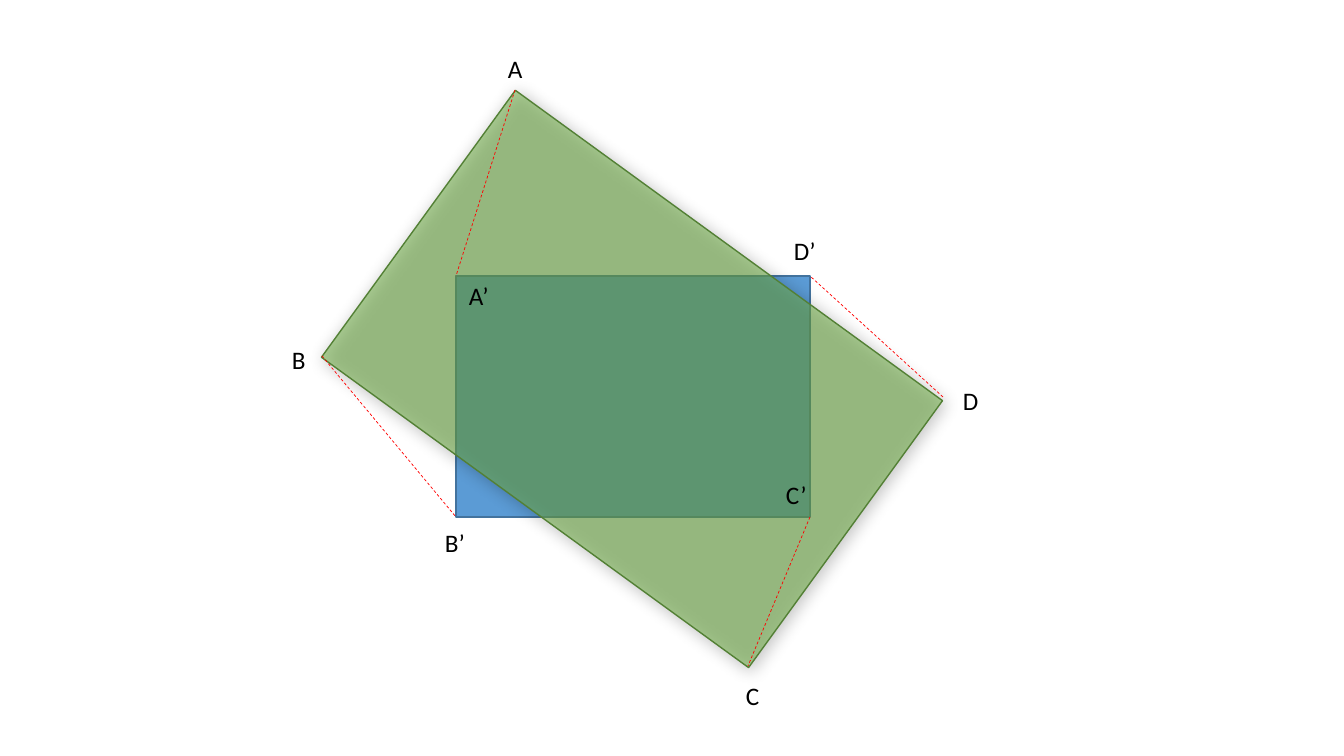
from typing import NamedTuple

from lxml import etree
from pptx import Presentation
from pptx.dml.color import RGBColor
from pptx.enum.dml import MSO_LINE
from pptx.enum.shapes import MSO_CONNECTOR, MSO_SHAPE
from pptx.enum.text import MSO_AUTO_SIZE
from pptx.oxml.ns import qn
from pptx.util import Pt

RECTANGLE = MSO_SHAPE.RECTANGLE
STRAIGHT = MSO_CONNECTOR.STRAIGHT
DASH = MSO_LINE.DASH
FIT_SHAPE = MSO_AUTO_SIZE.SHAPE_TO_FIT_TEXT

BLUE = RGBColor(0x5B, 0x9B, 0xD5)
DARK_BLUE = RGBColor(0x43, 0x73, 0x9E)
GREEN = RGBColor(0x70, 0xAD, 0x47)
DARK_GREEN = RGBColor(0x53, 0x80, 0x35)
RED = RGBColor(0xFF, 0x00, 0x00)
BLACK = RGBColor(0x00, 0x00, 0x00)

PIXELS_PER_INCH = 100.8
LABEL_HEIGHT = 40


class Rectangle(NamedTuple):
    left: int
    top: int
    width: int
    height: int
    fill: RGBColor
    outline: RGBColor
    rotation: int = 0


class Link(NamedTuple):
    start: tuple[int, int]
    end: tuple[int, int]


class Label(NamedTuple):
    text: str
    left: int
    top: int
    width: int


def px(pixels: int) -> int:
    return round(pixels * 914400 / PIXELS_PER_INCH)


def draw_rectangle(item: Rectangle):
    shape = page.shapes.add_shape(
        RECTANGLE, px(item.left), px(item.top), px(item.width), px(item.height))
    shape.rotation = item.rotation
    shape.fill.solid()
    shape.fill.fore_color.rgb = item.fill
    shape.line.color.rgb = item.outline
    shape.line.width = Pt(1)
    shape.shadow.inherit = False
    return shape


def add_alpha(color, percent: int) -> None:
    etree.SubElement(color, qn("a:alpha"), val=str(percent * 1000))


def add_shadow(shape) -> None:
    effects = shape._element.spPr.find(qn("a:effectLst"))
    shadow = etree.SubElement(
        effects, qn("a:outerShdw"), blurRad=str(Pt(12)), dist=str(Pt(3)),
        dir=str(45 * 60000), algn="tl", rotWithShape="0")
    add_alpha(etree.SubElement(shadow, qn("a:srgbClr"), val=str(BLACK)), 40)


def draw_link(link: Link) -> None:
    line = page.shapes.add_connector(STRAIGHT, *map(px, link.start + link.end))
    line.line.color.rgb = RED
    line.line.width = Pt(0.5)
    line.line.dash_style = DASH
    etree.SubElement(line._element.spPr, qn("a:effectLst"))


def draw_label(label: Label) -> None:
    box = page.shapes.add_textbox(
        px(label.left), px(label.top), px(label.width), px(LABEL_HEIGHT))
    frame = box.text_frame
    frame.word_wrap = False
    frame.auto_size = FIT_SHAPE
    span = frame.paragraphs[0].add_run()
    span.text = label.text
    span.font.name = "Calibri"
    span.font.size = Pt(18)
    span.font.color.rgb = BLACK


deck = Presentation()
deck.slide_width, deck.slide_height = px(1344), px(756)
page = deck.slides.add_slide(deck.slide_layouts[6])

# Inner rectangle, then the rotated translucent one over it
inner = Rectangle(456, 276, 354, 241, BLUE, DARK_BLUE)
draw_rectangle(inner)
rotated = draw_rectangle(Rectangle(368, 214, 528, 330, GREEN, DARK_GREEN, 36))
add_alpha(rotated._element.spPr.find(qn("a:solidFill"))[0], 56)
add_shadow(rotated)

# Dashed links between matching corners
right, bottom = inner.left + inner.width, inner.top + inner.height
for corner_link in (
    Link((322, 356), (inner.left, bottom)),
    Link((515, 90), (inner.left, inner.top)),
    Link((943, 397), (right, inner.top)),
    Link((right, bottom), (748, 666)),
):
    draw_link(corner_link)

# Corner names
for corner_label in (
    Label("A", 498, 48, 35),
    Label("B", 282, 339, 34),
    Label("C", 736, 675, 34),
    Label("D", 953, 380, 36),
    Label("A’", 459, 275, 40),
    Label("B’", 435, 522, 40),
    Label("C’", 776, 474, 41),
    Label("D’", 784, 230, 42),
):
    draw_label(corner_label)

deck.save("out.pptx")
